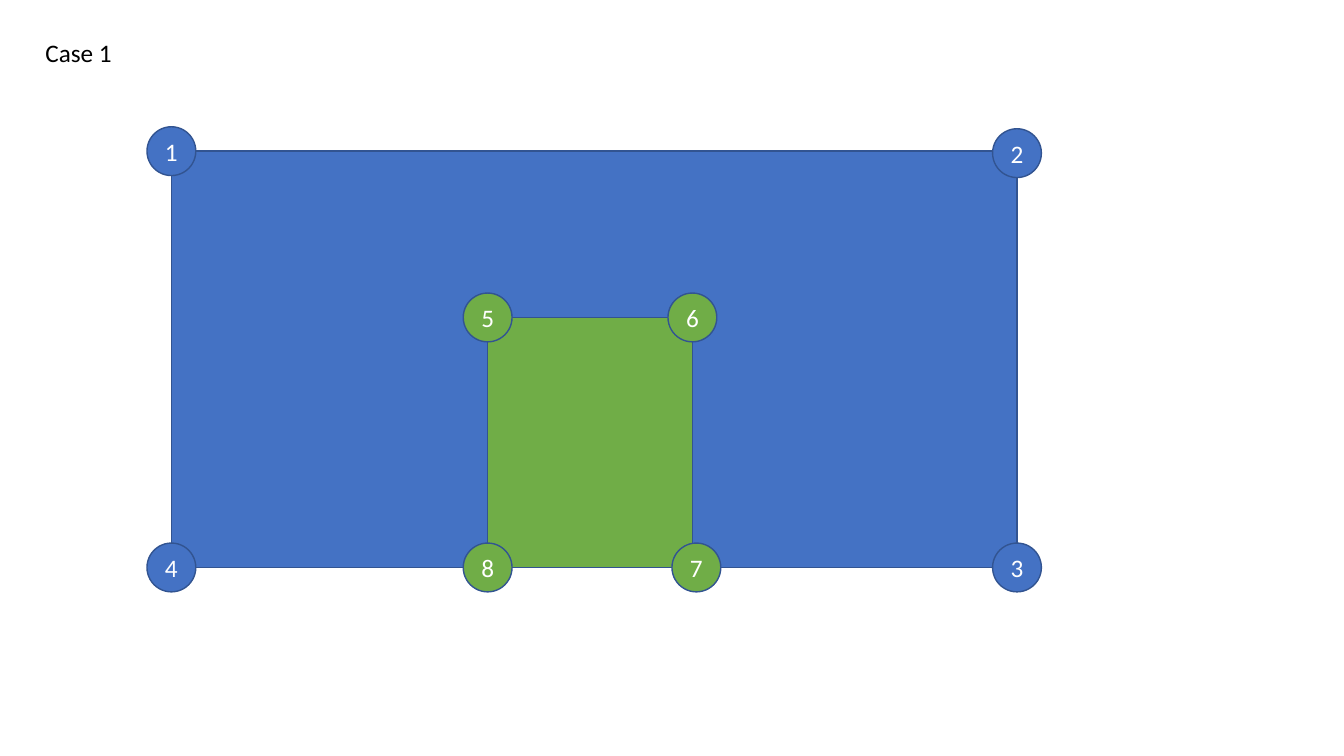
from dataclasses import dataclass

from pptx import Presentation
from pptx.dml.color import RGBColor
from pptx.enum.shapes import MSO_SHAPE as Preset
from pptx.enum.text import MSO_ANCHOR as Anchor, PP_ALIGN as Align
from pptx.shapes.autoshape import Shape
from pptx.slide import Slide
from pptx.text.text import TextFrame
from pptx.util import Cm, Pt

BLUE, GREEN, OUTLINE = "4472C4", "70AD47", "325491"
WHITE, BLACK = "FFFFFF", "000000"
NODE_SIZE = 1.23


@dataclass(frozen=True)
class Region:
    left: float
    top: float
    right: float
    bottom: float
    color: str


@dataclass(frozen=True)
class Node:
    label: str
    x: float
    y: float
    color: str


WALL = Region(4.32, 3.81, 25.63, 14.3, BLUE)
DOOR = Region(12.29, 8, 17.45, 14.3, GREEN)

NODES = [
    Node("1", WALL.left, WALL.top, BLUE),
    Node("2", WALL.right, WALL.top + 0.05, BLUE),
    Node("3", WALL.right, WALL.bottom, BLUE),
    Node("4", WALL.left, WALL.bottom, BLUE),
    Node("5", DOOR.left, DOOR.top, GREEN),
    Node("6", DOOR.right, DOOR.top, GREEN),
    Node("7", DOOR.right + 0.1, DOOR.bottom, GREEN),
    Node("8", DOOR.left, DOOR.bottom, GREEN),
]


def rgb(color: str) -> RGBColor:
    return RGBColor.from_string(color)


def write(frame: TextFrame, text: str, color: str, align: Align) -> None:
    frame.text = text
    paragraph = frame.paragraphs[0]
    paragraph.alignment = align
    paragraph.font.name = "Calibri"
    paragraph.font.size = Pt(18)
    paragraph.font.color.rgb = rgb(color)


def add_outlined(slide: Slide, preset: Preset, left: float, top: float,
                 width: float, height: float, color: str) -> Shape:
    shape = slide.shapes.add_shape(preset, Cm(left), Cm(top), Cm(width), Cm(height))
    shape.shadow.inherit = False
    shape.fill.solid()
    shape.fill.fore_color.rgb = rgb(color)
    shape.line.color.rgb = rgb(OUTLINE)
    shape.line.width = Pt(1)
    return shape


def add_region(slide: Slide, region: Region) -> None:
    add_outlined(slide, Preset.RECTANGLE, region.left, region.top,
                 region.right - region.left, region.bottom - region.top, region.color)


def add_node(slide: Slide, node: Node) -> None:
    shape = add_outlined(slide, Preset.OVAL, node.x - NODE_SIZE / 2, node.y - NODE_SIZE / 2,
                         NODE_SIZE, NODE_SIZE, node.color)
    frame = shape.text_frame
    frame.margin_left = frame.margin_right = 0
    frame.margin_top = frame.margin_bottom = 0
    frame.vertical_anchor = Anchor.MIDDLE
    write(frame, node.label, WHITE, Align.CENTER)


def set_title(slide: Slide, text: str) -> None:
    title = slide.shapes.title
    title.left, title.top, title.width, title.height = Cm(0.89), Cm(0.81), Cm(2.21), Cm(1.02)
    frame = title.text_frame
    frame.word_wrap = False
    frame.vertical_anchor = Anchor.TOP
    write(frame, text, BLACK, Align.LEFT)


presentation = Presentation()
presentation.slide_width, presentation.slide_height = Cm(33.87), Cm(19.05)
slide = presentation.slides.add_slide(presentation.slide_layouts.get_by_name("Title Only"))
set_title(slide, "Case 1")
for region in (WALL, DOOR):
    add_region(slide, region)
for node in NODES:
    add_node(slide, node)
presentation.save("out.pptx")
